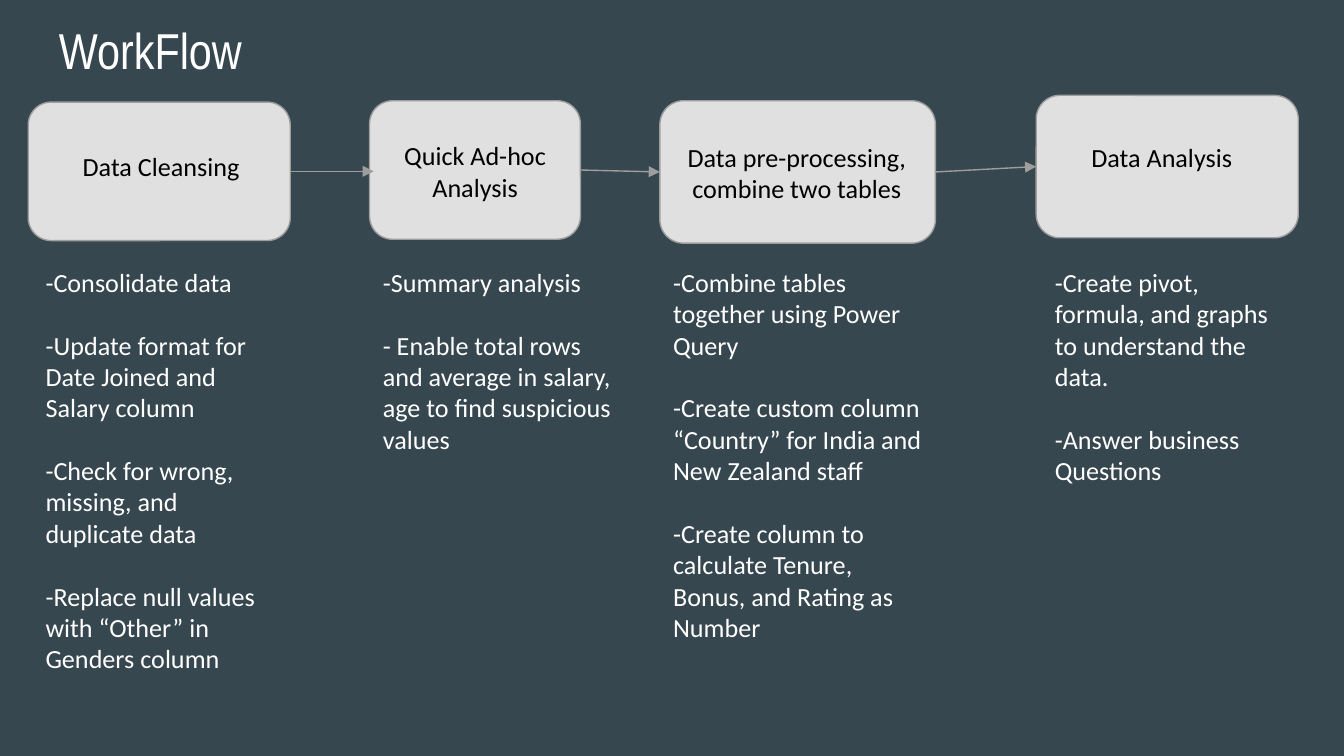
from dataclasses import dataclass

from lxml.etree import SubElement
from pptx import Presentation
from pptx.dml.color import RGBColor
from pptx.enum.shapes import MSO_CONNECTOR, MSO_SHAPE
from pptx.enum.text import PP_ALIGN
from pptx.oxml.ns import qn
from pptx.shapes.autoshape import Shape
from pptx.slide import Slide
from pptx.util import Pt

BACKGROUND = RGBColor(0x37, 0x47, 0x4F)
BOX_FILL = RGBColor(0xE0, 0xE0, 0xE0)
OUTLINE = RGBColor(0x9E, 0x9E, 0x9E)
WHITE = RGBColor(0xFF, 0xFF, 0xFF)
BLACK = RGBColor(0x00, 0x00, 0x00)

LINE_WIDTH = 0.75
INSET = 7.2
BODY_SIZE = 14
BODY_LINE = 16.8
TASKS_TOP = 135.4
TASKS_HEIGHT = 227.5
LEFT_SIDE, RIGHT_SIDE = 1, 3


@dataclass(frozen=True)
class Area:
    left: float
    top: float
    width: float
    height: float

    def lengths(self) -> tuple[Pt, Pt, Pt, Pt]:
        return Pt(self.left), Pt(self.top), Pt(self.width), Pt(self.height)


@dataclass(frozen=True)
class TextStyle:
    font: str
    size: float
    color: RGBColor
    alignment: PP_ALIGN = PP_ALIGN.LEFT
    gap: float = 0


@dataclass(frozen=True)
class Step:
    label: str
    box: Area
    label_area: Area
    tasks_left: float
    tasks_width: float
    tasks: tuple[str, ...]


TITLE_STYLE = TextStyle("Arial Narrow", 27, WHITE)
LABEL_STYLE = TextStyle("Calibri", BODY_SIZE, BLACK, PP_ALIGN.CENTER)
TASKS_STYLE = TextStyle("Calibri", BODY_SIZE, WHITE, gap=BODY_LINE)

STEPS = (
    Step(
        "Data Cleansing",
        Area(15.1, 54.7, 140.4, 74.2),
        Area(30.2, 73.4, 112.3, 31.7),
        17.3, 138.2,
        (
            "-Consolidate data",
            "-Update format for Date Joined and Salary column",
            "-Check for wrong, missing, and duplicate data",
            "-Replace null values with “Other” in Genders column",
        ),
    ),
    Step(
        "Quick Ad-hoc Analysis",
        Area(198, 54, 113, 74.2),
        Area(200.2, 67.7, 108.7, 48.2),
        198, 138.2,
        (
            "-Summary analysis",
            "- Enable total rows and average in salary, age to find suspicious values",
        ),
    ),
    Step(
        "Data pre-processing, combine two tables",
        Area(353.5, 54, 147.6, 76.3),
        Area(353.5, 68.4, 146.9, 46.8),
        353.5, 147.6,
        (
            "-Combine tables together using Power Query",
            "-Create custom column “Country” for India and New Zealand staff",
            "-Create column to calculate Tenure, Bonus, and Rating as Number",
        ),
    ),
    Step(
        "Data Analysis",
        Area(555.1, 51.1, 140.4, 76.3),
        Area(565.9, 68.4, 113, 54),
        558, 138.2,
        (
            "-Create pivot, formula, and graphs to understand the data.",
            "-Answer business Questions",
        ),
    ),
)


def add_text(slide: Slide, area: Area, texts: tuple[str, ...], style: TextStyle) -> Shape:
    shape = slide.shapes.add_textbox(*area.lengths())
    frame = shape.text_frame
    frame.word_wrap = True
    frame.margin_left = frame.margin_right = Pt(INSET)
    frame.margin_top = frame.margin_bottom = Pt(INSET)
    for index, text in enumerate(texts):
        paragraph = frame.add_paragraph() if index else frame.paragraphs[0]
        paragraph.alignment = style.alignment
        paragraph.space_before = Pt(style.gap if index else 0)
        run = paragraph.add_run()
        run.text = text
        run.font.name = style.font
        run.font.size = Pt(style.size)
        run.font.color.rgb = style.color
    return shape


def add_box(slide: Slide, area: Area) -> Shape:
    shape = slide.shapes.add_shape(MSO_SHAPE.ROUNDED_RECTANGLE, *area.lengths())
    shape.shadow.inherit = False
    shape.fill.solid()
    shape.fill.fore_color.rgb = BOX_FILL
    shape.line.color.rgb = OUTLINE
    shape.line.width = Pt(LINE_WIDTH)
    return shape


def add_arrow(slide: Slide, source: Shape, target: Shape) -> None:
    connector = slide.shapes.add_connector(MSO_CONNECTOR.STRAIGHT, Pt(0), Pt(0), Pt(0), Pt(0))
    connector.begin_connect(source, RIGHT_SIDE)
    connector.end_connect(target, LEFT_SIDE)
    connector.line.color.rgb = OUTLINE
    connector.line.width = Pt(LINE_WIDTH)
    properties = connector.element.spPr
    SubElement(properties.find(qn("a:ln")), qn("a:tailEnd"), type="triangle")
    SubElement(properties, qn("a:effectLst"))


def add_step(slide: Slide, step: Step) -> tuple[Shape, Shape]:
    box = add_box(slide, step.box)
    label = add_text(slide, step.label_area, (step.label,), LABEL_STYLE)
    tasks_area = Area(step.tasks_left, TASKS_TOP, step.tasks_width, TASKS_HEIGHT)
    add_text(slide, tasks_area, step.tasks, TASKS_STYLE)
    return box, label


def main() -> None:
    presentation = Presentation()
    presentation.slide_width = Pt(720)
    presentation.slide_height = Pt(405)
    slide = presentation.slides.add_slide(presentation.slide_layouts[6])
    slide.background.fill.solid()
    slide.background.fill.fore_color.rgb = BACKGROUND

    add_text(slide, Area(24.5, 2.9, 671, 45.4), ("WorkFlow",), TITLE_STYLE)
    (cleansing, _), (ad_hoc, ad_hoc_label), (processing, _), (analysis, _) = [
        add_step(slide, step) for step in STEPS
    ]
    add_arrow(slide, cleansing, ad_hoc_label)
    add_arrow(slide, ad_hoc, processing)
    add_arrow(slide, processing, analysis)
    presentation.save("out.pptx")


if __name__ == "__main__":
    main()
